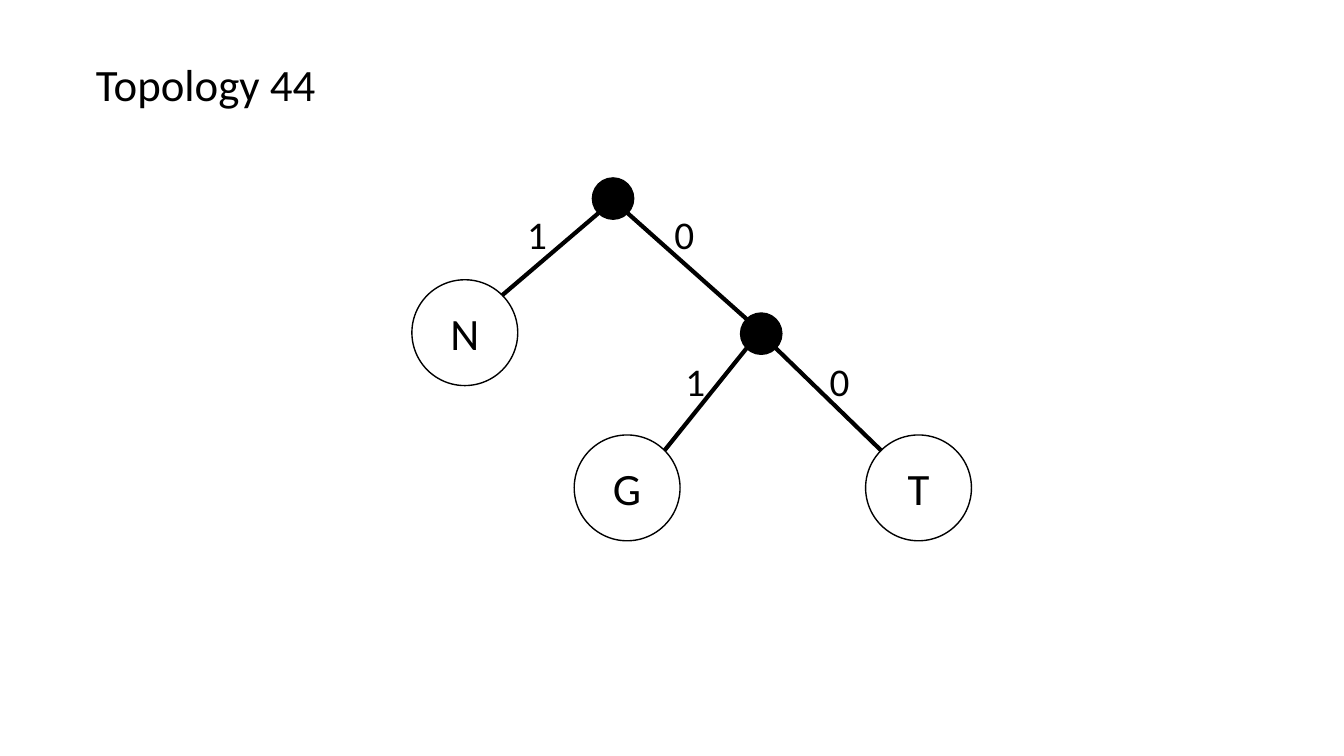
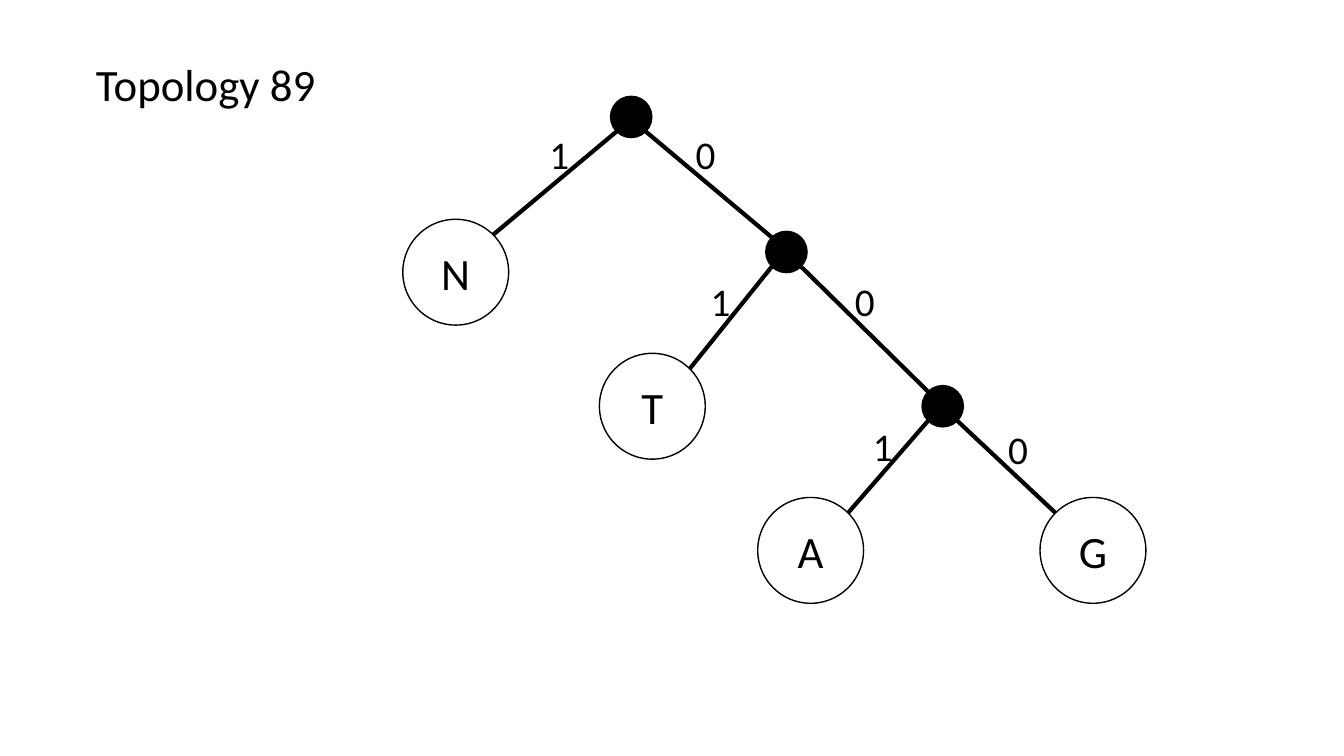
from dataclasses import dataclass
from math import sqrt

from lxml import etree
from pptx import Presentation
from pptx.dml.color import RGBColor
from pptx.enum.shapes import MSO_CONNECTOR, MSO_SHAPE
from pptx.enum.text import MSO_ANCHOR, MSO_AUTO_SIZE, PP_ALIGN
from pptx.oxml.ns import qn
from pptx.presentation import Presentation as Deck
from pptx.slide import Slide
from pptx.text.text import TextFrame
from pptx.util import Inches, Pt

OVAL = MSO_SHAPE.OVAL
STRAIGHT = MSO_CONNECTOR.STRAIGHT
TOP, MIDDLE = MSO_ANCHOR.TOP, MSO_ANCHOR.MIDDLE
LEFT, CENTER = PP_ALIGN.LEFT, PP_ALIGN.CENTER
NO_AUTOFIT = MSO_AUTO_SIZE.NONE
TITLE_ONLY_LAYOUT = 5


@dataclass(frozen=True)
class Theme:
    ink: RGBColor = RGBColor(0, 0, 0)
    font: str = "Calibri"
    title_size: int = 32
    letter_size: int = 32
    bit_size: int = 28
    outline_width: int = 1
    branch_width: int = 3
    leaf_diameter: float = 1.05
    joint_diameter: float = 0.41


THEME = Theme()


@dataclass(frozen=True)
class Node:
    x: float
    y: float
    letter: str = ""
    branches: tuple["Branch", ...] = ()

    @property
    def diameter(self) -> float:
        return THEME.leaf_diameter if self.letter else THEME.joint_diameter

    @property
    def diagonal_reach(self) -> float:
        return self.diameter / 2 / sqrt(2)


@dataclass(frozen=True)
class Branch:
    bit: str
    bit_left: float
    bit_top: float
    child: Node


@dataclass(frozen=True)
class Topology:
    title: str
    root: Node


TOPOLOGIES = (
    Topology("Topology 44", Node(6.08, 1.97, branches=(
        Branch("1", 5.13, 2.04, Node(4.61, 3.3, "N")),
        Branch("0", 6.59, 2.04, Node(7.55, 3.31, branches=(
            Branch("1", 6.7, 3.5, Node(6.22, 4.84, "G")),
            Branch("0", 8.13, 3.5, Node(9.11, 4.84, "T")),
        ))),
    ))),
    Topology("Topology 89", Node(6.26, 1.16, branches=(
        Branch("1", 5.35, 1.24, Node(4.52, 2.7, "N")),
        Branch("0", 6.8, 1.24, Node(7.8, 2.5, branches=(
            Branch("1", 6.95, 2.7, Node(6.47, 4.03, "T")),
            Branch("0", 8.38, 2.7, Node(9.35, 4.03, branches=(
                Branch("1", 8.56, 4.14, Node(8.04, 5.46, "A")),
                Branch("0", 9.9, 4.17, Node(10.84, 5.46, "G")),
            ))),
        ))),
    ))),
)


def write_text(frame: TextFrame, text: str, size: int,
               alignment: PP_ALIGN = LEFT, anchor: MSO_ANCHOR = TOP) -> None:
    frame.word_wrap = True
    frame.auto_size = NO_AUTOFIT
    frame.vertical_anchor = anchor
    paragraph = frame.paragraphs[0]
    paragraph.alignment = alignment
    run = paragraph.add_run()
    run.text = text
    run.font.name = THEME.font
    run.font.size = Pt(size)
    run.font.color.rgb = THEME.ink


def add_title(slide: Slide, text: str) -> None:
    title = slide.shapes.title
    title.left, title.top = Inches(0.85), Inches(0.51)
    title.width, title.height = Inches(2.48), Inches(0.64)
    write_text(title.text_frame, text, THEME.title_size)


def add_node(slide: Slide, node: Node) -> None:
    radius = node.diameter / 2
    shape = slide.shapes.add_shape(
        OVAL, Inches(node.x - radius), Inches(node.y - radius),
        Inches(node.diameter), Inches(node.diameter))
    shape.shadow.inherit = False
    shape.line.color.rgb = THEME.ink
    shape.line.width = Pt(THEME.outline_width)
    if node.letter:
        shape.fill.background()
        write_text(shape.text_frame, node.letter, THEME.letter_size, CENTER, MIDDLE)
    else:
        shape.fill.solid()
        shape.fill.fore_color.rgb = THEME.ink


def add_branch(slide: Slide, parent: Node, branch: Branch) -> None:
    child = branch.child
    side = 1 if child.x > parent.x else -1
    connector = slide.shapes.add_connector(
        STRAIGHT,
        Inches(parent.x + side * parent.diagonal_reach),
        Inches(parent.y + parent.diagonal_reach),
        Inches(child.x - side * child.diagonal_reach),
        Inches(child.y - child.diagonal_reach))
    connector.line.color.rgb = THEME.ink
    connector.line.width = Pt(THEME.branch_width)
    etree.SubElement(connector.element.spPr, qn("a:effectLst"))
    label = slide.shapes.add_textbox(
        Inches(branch.bit_left), Inches(branch.bit_top), Inches(0.39), Inches(0.57))
    write_text(label.text_frame, branch.bit, THEME.bit_size)


def add_tree(slide: Slide, node: Node) -> None:
    add_node(slide, node)
    for branch in node.branches:
        add_branch(slide, node, branch)
        add_tree(slide, branch.child)


def add_topology(presentation: Deck, topology: Topology) -> None:
    slide = presentation.slides.add_slide(presentation.slide_layouts[TITLE_ONLY_LAYOUT])
    add_title(slide, topology.title)
    add_tree(slide, topology.root)


def main() -> None:
    presentation = Presentation()
    presentation.slide_width = Inches(13.33)
    presentation.slide_height = Inches(7.5)
    for topology in TOPOLOGIES:
        add_topology(presentation, topology)
    presentation.save("out.pptx")


if __name__ == "__main__":
    main()
